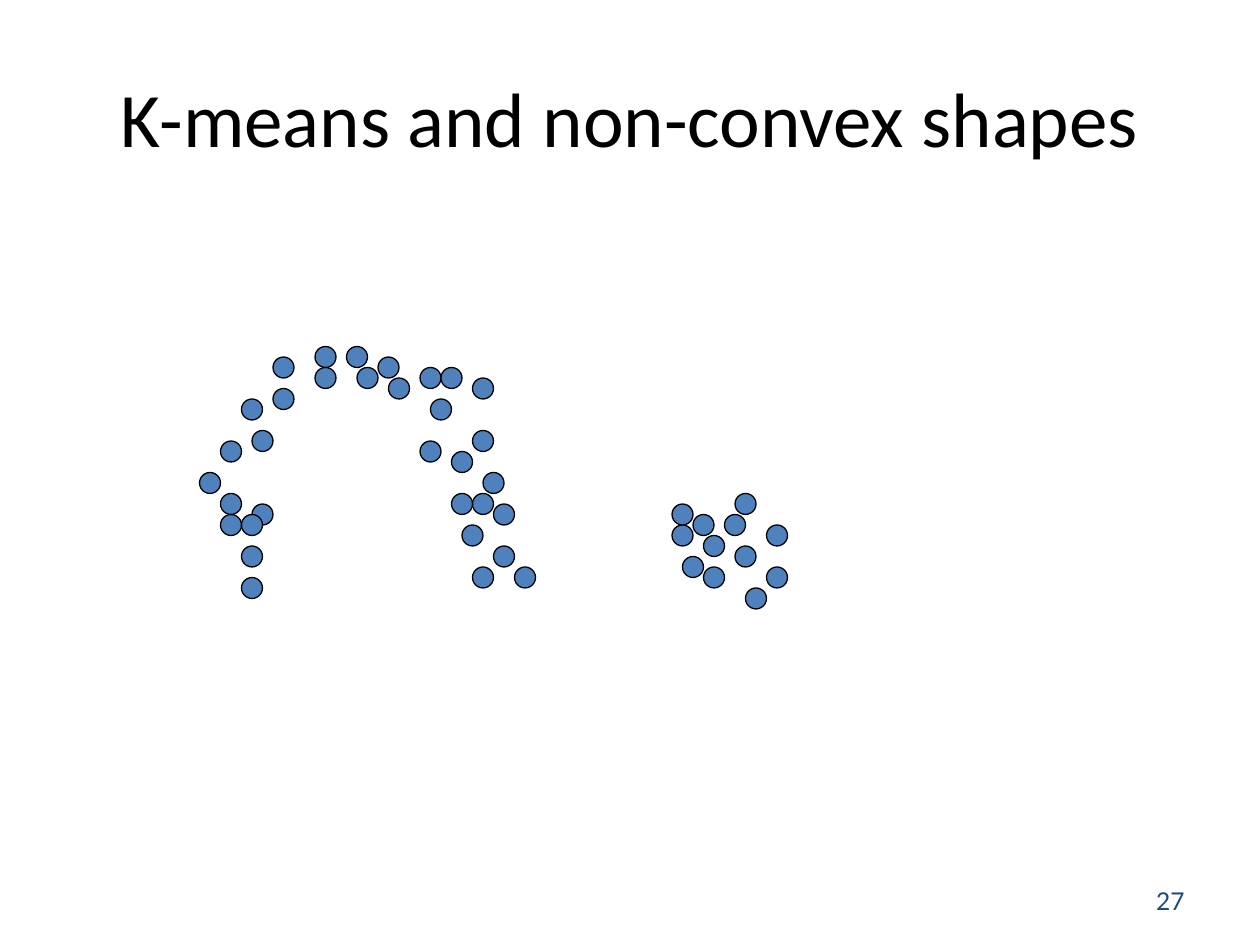
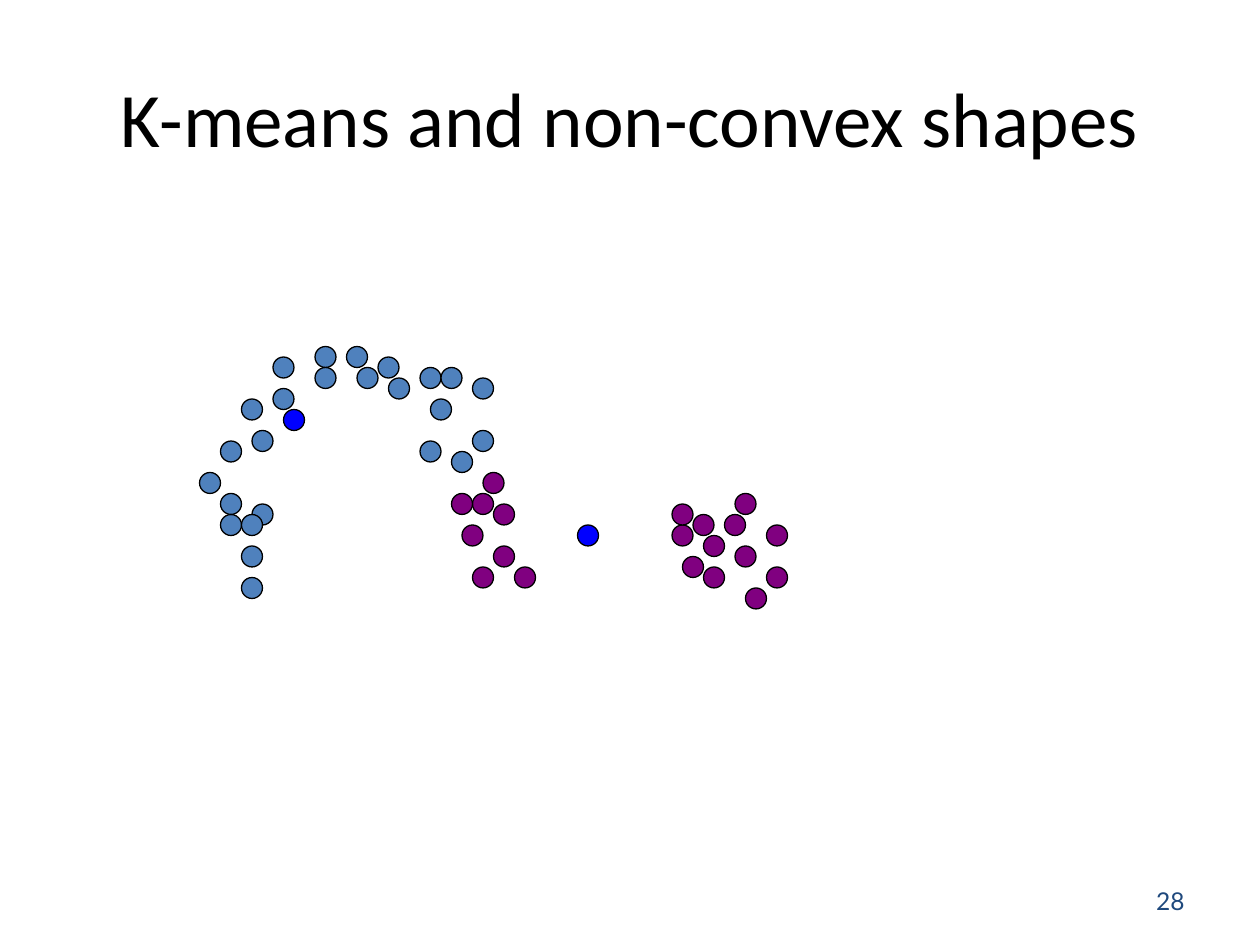
from dataclasses import dataclass

from pptx import Presentation
from pptx.dml.color import RGBColor
from pptx.enum.shapes import MSO_SHAPE as Shape
from pptx.enum.text import MSO_ANCHOR as Anchor, PP_ALIGN as Align
from pptx.util import Inches, Pt

BLACK = RGBColor(0x00, 0x00, 0x00)
NAVY = RGBColor(0x1F, 0x49, 0x7D)
STEEL = RGBColor(0x4F, 0x81, 0xBD)
PURPLE = RGBColor(0x80, 0x00, 0x80)
BLUE = RGBColor(0x00, 0x00, 0xFF)

TITLE = "K-means and non-convex shapes"
GRID = 12  # grid steps per inch
DOT = Inches(2 / GRID)

# Top left corners of the dots, in grid steps
ARCH = [
    (19, 45), (21, 42), (24, 41), (23, 38), (26, 37), (26, 34), (21, 49),
    (23, 55), (23, 52), (24, 48), (30, 33), (33, 33), (36, 34), (40, 35),
    (42, 35), (45, 36), (45, 41), (21, 47), (34, 35), (30, 35), (37, 36),
    (41, 38), (43, 43), (40, 42), (23, 49),
]
LEG = [
    (46, 45), (47, 48), (45, 47), (43, 47), (44, 50), (47, 52), (45, 54),
    (49, 54),
]
BLOB = [
    (64, 50), (64, 48), (65, 53), (67, 51), (66, 49), (67, 54), (69, 49),
    (70, 47), (70, 52), (71, 56), (73, 54), (73, 50),
]
MEANS = [(55, 50), (27, 39)]


@dataclass
class Group:
    dots: list[tuple[int, int]]
    color: RGBColor


@dataclass
class Page:
    number: int
    groups: list[Group]


PAGES = [
    Page(27, [Group(ARCH + LEG + BLOB, STEEL)]),
    Page(28, [Group(ARCH, STEEL), Group(LEG + BLOB, PURPLE),
              Group(MEANS, BLUE)]),
]


def style(frame, text: str, align: Align, face: str, size: int,
          color: RGBColor) -> None:
    """Fill a text frame with one middle-anchored paragraph."""
    frame.text = text
    frame.word_wrap = True
    frame.vertical_anchor = Anchor.MIDDLE
    para = frame.paragraphs[0]
    para.alignment = align
    para.font.name = face
    para.font.size = Pt(size)
    para.font.color.rgb = color


def add_title(slide) -> None:
    title = slide.shapes.title
    title.left, title.top = Inches(0.5), Inches(0.3)
    title.width, title.height = Inches(9), Inches(1.25)
    style(title.text_frame, TITLE, Align.CENTER, "Calibri", 44, BLACK)


def add_number(slide, number: int) -> None:
    box = slide.shapes.add_textbox(
        Inches(7.17), Inches(6.95), Inches(2.33), Inches(0.4))
    style(box.text_frame, str(number), Align.RIGHT, "Lato", 14, NAVY)


def add_dots(slide, group: Group) -> None:
    for col, row in group.dots:
        dot = slide.shapes.add_shape(
            Shape.OVAL, Inches(col / GRID), Inches(row / GRID), DOT, DOT)
        dot.shadow.inherit = False
        dot.fill.solid()
        dot.fill.fore_color.rgb = group.color
        dot.line.color.rgb = BLACK
        dot.line.width = Pt(0.75)


def main() -> None:
    prs = Presentation()
    prs.slide_width, prs.slide_height = Inches(10), Inches(7.5)
    layout = prs.slide_layouts.get_by_name("Title Only")
    for page in PAGES:
        slide = prs.slides.add_slide(layout)
        add_title(slide)
        add_number(slide, page.number)
        for group in page.groups:
            add_dots(slide, group)
    prs.save("out.pptx")


if __name__ == "__main__":
    main()
